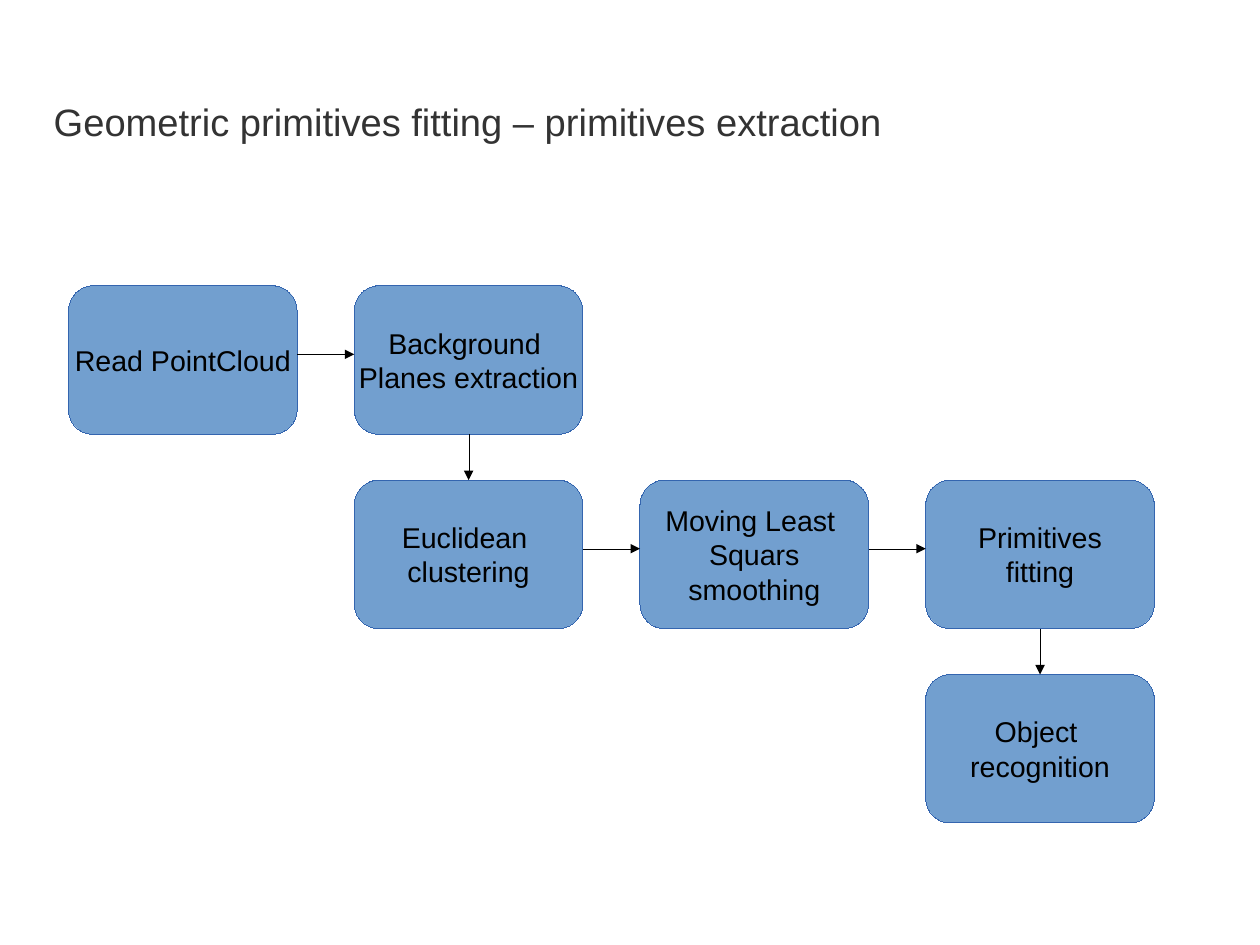
from lxml import etree
from pptx import Presentation
from pptx.dml.color import RGBColor
from pptx.enum.shapes import MSO_CONNECTOR, MSO_SHAPE
from pptx.enum.text import MSO_ANCHOR, MSO_AUTO_SIZE, PP_ALIGN
from pptx.oxml.ns import qn
from pptx.util import Pt

BOX = MSO_SHAPE.FLOWCHART_ALTERNATE_PROCESS
STRAIGHT = MSO_CONNECTOR.STRAIGHT
MIDDLE = MSO_ANCHOR.MIDDLE
GROW = MSO_AUTO_SIZE.SHAPE_TO_FIT_TEXT
LEFT, CENTER = PP_ALIGN.LEFT, PP_ALIGN.CENTER
TOP, BOTTOM = 0, 2

SCALE = 635
COLORS = {"title": "333333", "text": "000000", "box": "729FCF",
          "border": "3465AF", "arrow": "000000"}
SLIDE_W, SLIDE_H = 15875, 11905
X0, Y0 = 864, 3600
BOX_W, BOX_H = 2880, 1872
STEP_X, STEP_Y = 3600, 2448
ARROW_Y = 864

STEPS = [
    (0, 0, ["Read PointCloud"]),
    (1, 0, ["Background ", "Planes extraction"]),
    (1, 1, ["Euclidean ", "clustering"]),
    (2, 1, ["Moving Least ", "Squars", "smoothing"]),
    (3, 1, ["Primitives", "fitting"]),
    (3, 2, ["Object ", "recognition"]),
]


def px(n):
    return n * SCALE


def color(name):
    return RGBColor.from_string(COLORS[name])


def write(tf, lines, size=18, fill="text", align=CENTER, font="Arial"):
    for i, line in enumerate(lines):
        p = tf.add_paragraph() if i else tf.paragraphs[0]
        p.alignment = align
        r = p.add_run()
        r.text = line
        r.font.name = font
        r.font.size = Pt(size)
        r.font.color.rgb = color(fill)


class FlowSlide:
    def __init__(self, prs):
        self.s = prs.slides.add_slide(prs.slide_layouts[5])

    def hairline(self, sp, fill):
        sp.line.color.rgb = color(fill)
        sp.line.width = Pt(0)
        sp._element.remove(sp._element.find(qn("p:style")))

    def title(self, text, x, y, w, h):
        sp = self.s.shapes.title
        sp.left, sp.top, sp.width, sp.height = map(px, (x, y, w, h))
        tf = sp.text_frame
        tf.margin_left = tf.margin_right = tf.margin_top = tf.margin_bottom = 0
        tf.vertical_anchor = MIDDLE
        tf.word_wrap = True
        tf.auto_size = GROW
        write(tf, [text], size=24, fill="title", align=LEFT)

    def box(self, col, row, lines):
        sp = self.s.shapes.add_shape(BOX, px(X0 + col * STEP_X), px(Y0 + row * STEP_Y),
                                     px(BOX_W), px(BOX_H))
        sp.shadow.inherit = False
        sp.fill.solid()
        sp.fill.fore_color.rgb = color("box")
        self.hairline(sp, "border")
        tf = sp.text_frame
        tf.vertical_anchor = MIDDLE
        tf.word_wrap = False
        write(tf, lines)
        return sp

    def arrow(self, a, b):
        y = a.top + px(ARROW_Y)
        cxn = self.s.shapes.add_connector(STRAIGHT, a.left + a.width, y, b.left, y)
        if a.left == b.left:
            cxn.begin_connect(a, BOTTOM)
            cxn.end_connect(b, TOP)
        self.hairline(cxn, "arrow")
        sp_pr = cxn._element.spPr
        etree.SubElement(sp_pr.find(qn("a:ln")), qn("a:tailEnd"), type="triangle")
        etree.SubElement(sp_pr, qn("a:effectLst"))


def main():
    prs = Presentation()
    prs.slide_width, prs.slide_height = px(SLIDE_W), px(SLIDE_H)
    slide = FlowSlide(prs)
    slide.title("Geometric primitives fitting – primitives extraction", 677, 1022, 11117, 1022)
    boxes = [slide.box(*step) for step in STEPS]
    for a, b in zip(boxes, boxes[1:]):
        slide.arrow(a, b)
    prs.save("out.pptx")


if __name__ == "__main__":
    main()
